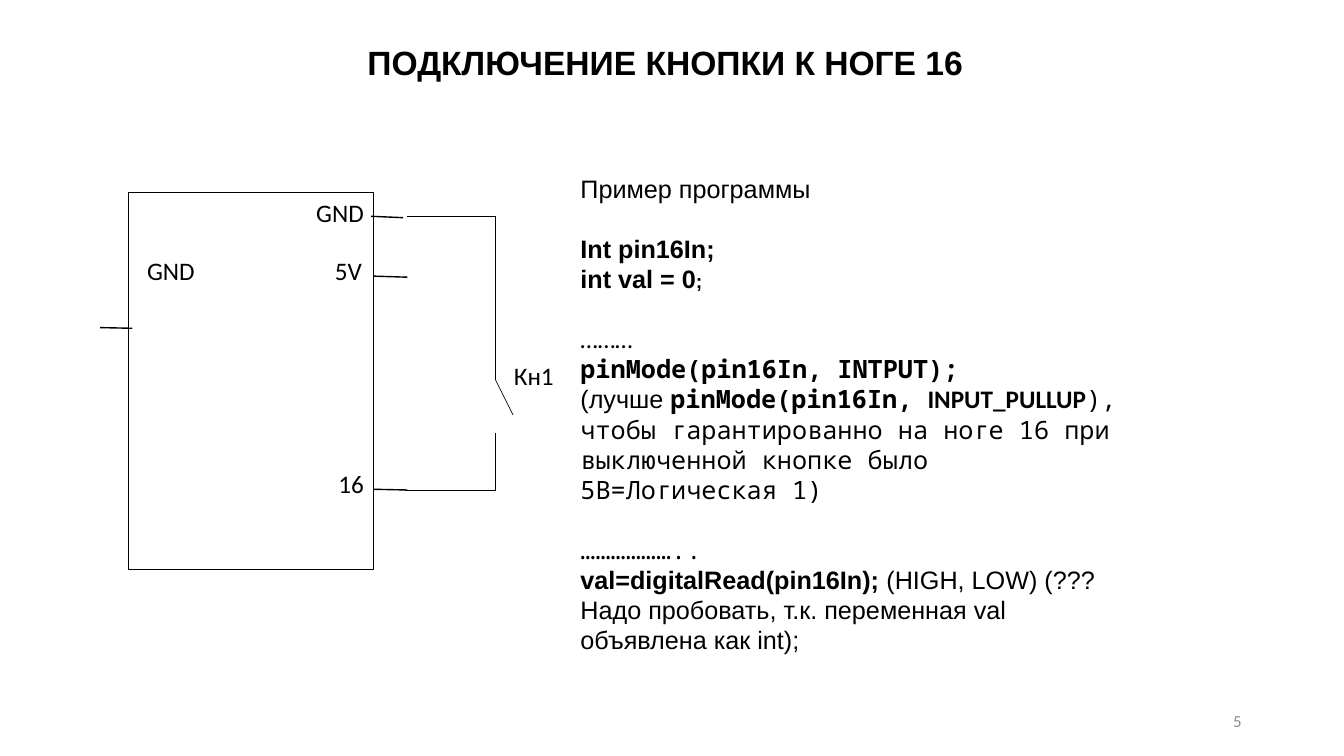
from pptx import Presentation
from pptx import util as u
from pptx.dml.color import RGBColor
from pptx.enum import shapes, text
from lxml import etree
from pptx.oxml import ns

COLORS = {"ink": "000000", "number": "8C8C8C"}
LEFT, CENTER, RIGHT = text.PP_ALIGN.LEFT, text.PP_ALIGN.CENTER, text.PP_ALIGN.RIGHT
SANS, LABEL, MONO = "Arial", "Calibri", "Noto Sans Mono"

prs = Presentation()
prs.slide_width, prs.slide_height = u.Pt(960), u.Pt(540)
s = prs.slides.add_slide(prs.slide_layouts[6])


def add_run(p, words, font, size=18, bold=False, color="ink"):
    r = p.add_run()
    r.text = words
    r.font.name, r.font.size, r.font.bold = font, u.Pt(size), bold
    r.font.color.rgb = RGBColor.from_string(COLORS[color])


def add_box(left, top, width, height):
    tf = s.shapes.add_textbox(u.Pt(left), u.Pt(top), u.Pt(width), u.Pt(height)).text_frame
    tf.word_wrap = True
    return tf


tf = add_box(678, 500.5, 216, 28.75)
tf.vertical_anchor = text.MSO_ANCHOR.MIDDLE
tf.paragraphs[0].alignment = RIGHT
add_run(tf.paragraphs[0], "5", LABEL, 12, color="number")

tf = add_box(28, 26.5, 894.5, 36)
tf.paragraphs[0].alignment = CENTER
add_run(tf.paragraphs[0], "ПОДКЛЮЧЕНИЕ КНОПКИ К НОГЕ 16", SANS, 24, True)

board = s.shapes.add_shape(shapes.MSO_SHAPE.RECTANGLE,
                           u.Pt(91.5), u.Pt(137.5), u.Pt(175.5), u.Pt(269.5))
board.shadow.inherit = False
board.fill.background()
board.line.color.rgb = RGBColor.from_string(COLORS["ink"])
board.line.width = u.Pt(0.75)
tf = board.text_frame
tf.word_wrap = True
tf.vertical_anchor = text.MSO_ANCHOR.TOP
pins = [("GND", RIGHT, 0), ("\tGND\t5V", LEFT, 20), ("16", RIGHT, 130)]
for i, (words, align, gap) in enumerate(pins):
    p = tf.paragraphs[0] if i == 0 else tf.add_paragraph()
    p.alignment = align
    if "\t" in words:
        tabs = etree.SubElement(p._p.get_or_add_pPr(), ns.qn("a:tabLst"))
        for pos, side in [(6.5, "l"), (160, "r")]:
            etree.SubElement(tabs, ns.qn("a:tab"), pos=str(u.Pt(pos)), algn=side)
    p.space_before = u.Pt(gap)
    add_run(p, words, LABEL)

wires = [
    (71.5, 234, 94.5, 234.5, 1),
    (265, 154.5, 288, 155.5, 1),
    (267, 197.25, 291, 198, 1),
    (267, 349.5, 291, 350, 1),
    (291, 154.5, 354, 154.5, 0.5),
    (354, 154.5, 354, 271.5, 0.5),
    (354, 271.5, 366.5, 296.5, 0.5),
    (354, 309, 354, 350, 0.5),
    (289.5, 350, 354, 350, 0.5),
]
for x1, y1, x2, y2, width in wires:
    wire = s.shapes.add_connector(shapes.MSO_CONNECTOR.STRAIGHT,
                                  u.Pt(x1), u.Pt(y1), u.Pt(x2), u.Pt(y2))
    wire.line.color.rgb = RGBColor.from_string(COLORS["ink"])
    wire.line.width = u.Pt(width)
    etree.SubElement(wire._element.spPr, ns.qn("a:effectLst"))

tf = add_box(360, 253.5, 47, 29)
add_run(tf.paragraphs[0], "Кн1", LABEL)

program = [
    (0, [("Пример программы", SANS, 18, False)]),
    (21, [("Int pin16In;", SANS, 18, True)]),
    (0, [("int val = 0", SANS, 18, True), (";", SANS, 14, True)]),
    (21, [("………", LABEL, 18, False)]),
    (0, [("pinMode(pin16In, INTPUT);", MONO, 18, True)]),
    (0, [("(лучше ", SANS, 18, False),
         ("pinMode(pin16In, ", MONO, 18, True),
         ("INPUT_PULLUP", LABEL, 18, True),
         ("), чтобы гарантированно на ноге 16 при выключенной кнопке было "
          "5В=Логическая 1)", MONO, 18, False)]),
    (21, [("………………..", MONO, 18, False)]),
    (0, [("val=digitalRead(pin16In); ", SANS, 18, True),
         ("(HIGH, LOW) (???Надо пробовать, т.к. переменная val объявлена как int);",
          SANS, 18, False)]),
]
tf = add_box(407.5, 120.5, 397.5, 378)
for i, (gap, runs) in enumerate(program):
    p = tf.paragraphs[0] if i == 0 else tf.add_paragraph()
    p.space_before = u.Pt(gap)
    for words, font, size, bold in runs:
        add_run(p, words, font, size, bold)

prs.save("out.pptx")
